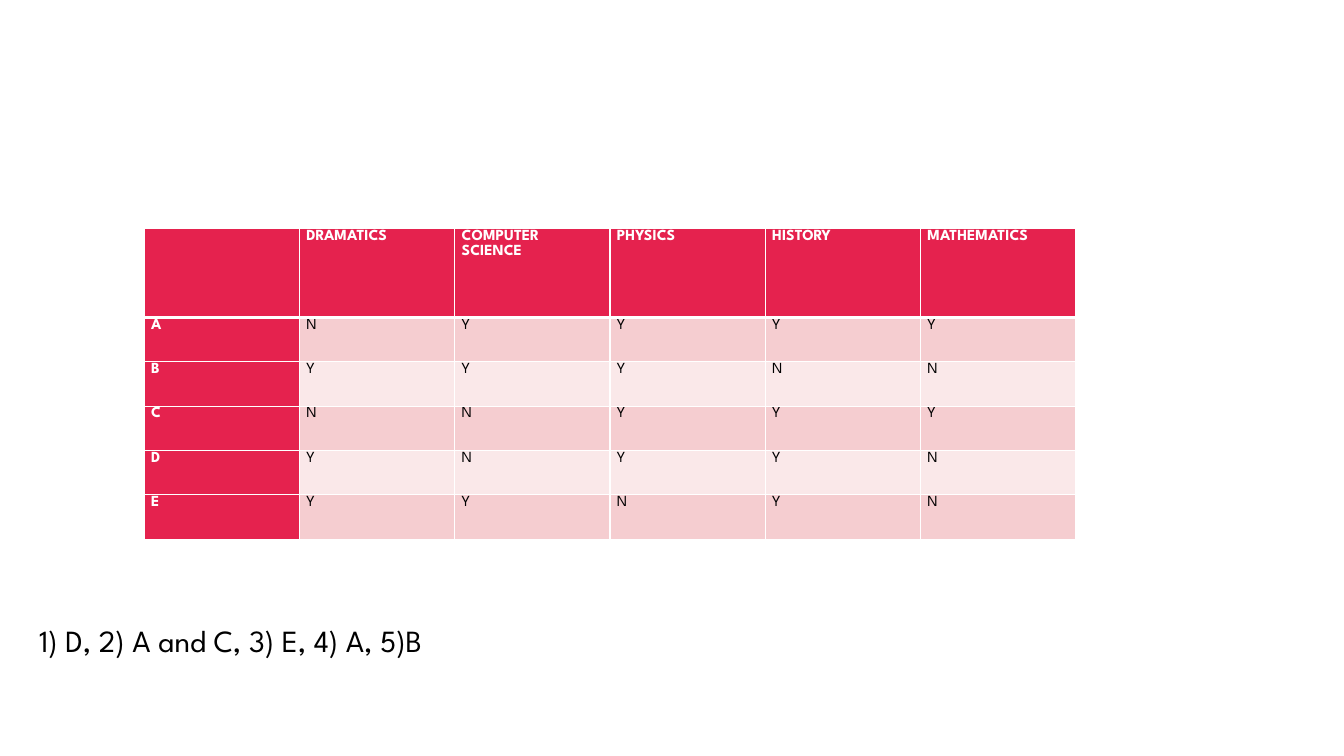
"""Build a slide with a student subject table and a line of answers."""
from lxml import etree
from pptx import Presentation, util as u
from pptx.dml.color import RGBColor
from pptx.enum import text
from pptx.oxml import ns

WHITE, BLACK, RED = "FFFFFF", "000000", "E5224E"
BANDS = ["FAE8E9", "F5CDD0"]
ROWS = [
    ["", "DRAMATICS", "COMPUTER SCIENCE", "PHYSICS", "HISTORY", "MATHEMATICS"],
    ["A", *"NYYYY"],
    ["B", *"YYYNN"],
    ["C", *"NNYYY"],
    ["D", *"YNYYN"],
    ["E", *"YYNYN"],
]
COL_W, ROW_H = 1.54, 0.44


def write(p, words, color, spacing, **font):
    p.line_spacing = spacing
    r = p.add_run()
    r.text = words
    r.font.name = "League Spartan"
    r.font.color.rgb = RGBColor.from_string(color)
    for key, value in font.items():
        setattr(r.font, key, value)


def border(cell, side, color, width):
    ln = etree.Element(ns.qn(f"a:ln{side}"), w=str(u.Pt(width)))
    fill = etree.SubElement(ln, ns.qn("a:solidFill"))
    etree.SubElement(fill, ns.qn("a:srgbClr"), val=color)
    return ln


prs = Presentation()
prs.slide_width, prs.slide_height = u.Inches(13.33), u.Inches(7.5)
s = prs.slides.add_slide(prs.slide_layouts[6])

sp = s.shapes.add_textbox(u.Inches(0.29), u.Inches(1.42), u.Inches(12.75), u.Inches(5.91))
tf = sp.text_frame
frame = {"word_wrap": True, "vertical_anchor": text.MSO_ANCHOR.BOTTOM, "margin_bottom": u.Inches(0.79)}
for key, value in frame.items():
    setattr(tf, key, value)
write(tf.paragraphs[0], "1) D, 2) A and C, 3) E, 4) A, 5)B", BLACK, 0.9, size=u.Pt(22))

n_rows, n_cols = len(ROWS), len(ROWS[0])
tbl = s.shapes.add_table(n_rows, n_cols, u.Inches(1.43), u.Inches(2.27),
                         u.Inches(COL_W * n_cols), u.Inches(ROW_H * (n_rows + 1))).table
for col in tbl.columns:
    col.width = u.Inches(COL_W)
for i, row in enumerate(tbl.rows):
    row.height = u.Inches(ROW_H * (1 if i else 2))

margins = {"margin_left": 0.07, "margin_right": 0.07, "margin_top": 0, "margin_bottom": 0}
for i, row in enumerate(ROWS):
    for j, words in enumerate(row):
        cell = tbl.cell(i, j)
        head = i == 0 or j == 0
        for key, value in margins.items():
            setattr(cell, key, u.Inches(value))
        cell.fill.solid()
        cell.fill.fore_color.rgb = RGBColor.from_string(RED if head else BANDS[i % 2])
        widths = {"L": 1, "R": 1, "T": 3 if i == 1 else 1, "B": 1 if i else 3}
        tc_pr = cell.fill._xPr
        for k, (side, width) in enumerate(widths.items()):
            tc_pr.insert(k, border(cell, side, WHITE, width))
        if words:
            write(cell.text_frame.paragraphs[0], words, WHITE if head else BLACK, 1.07,
                  size=u.Pt(11), bold=head)

prs.save("out.pptx")
